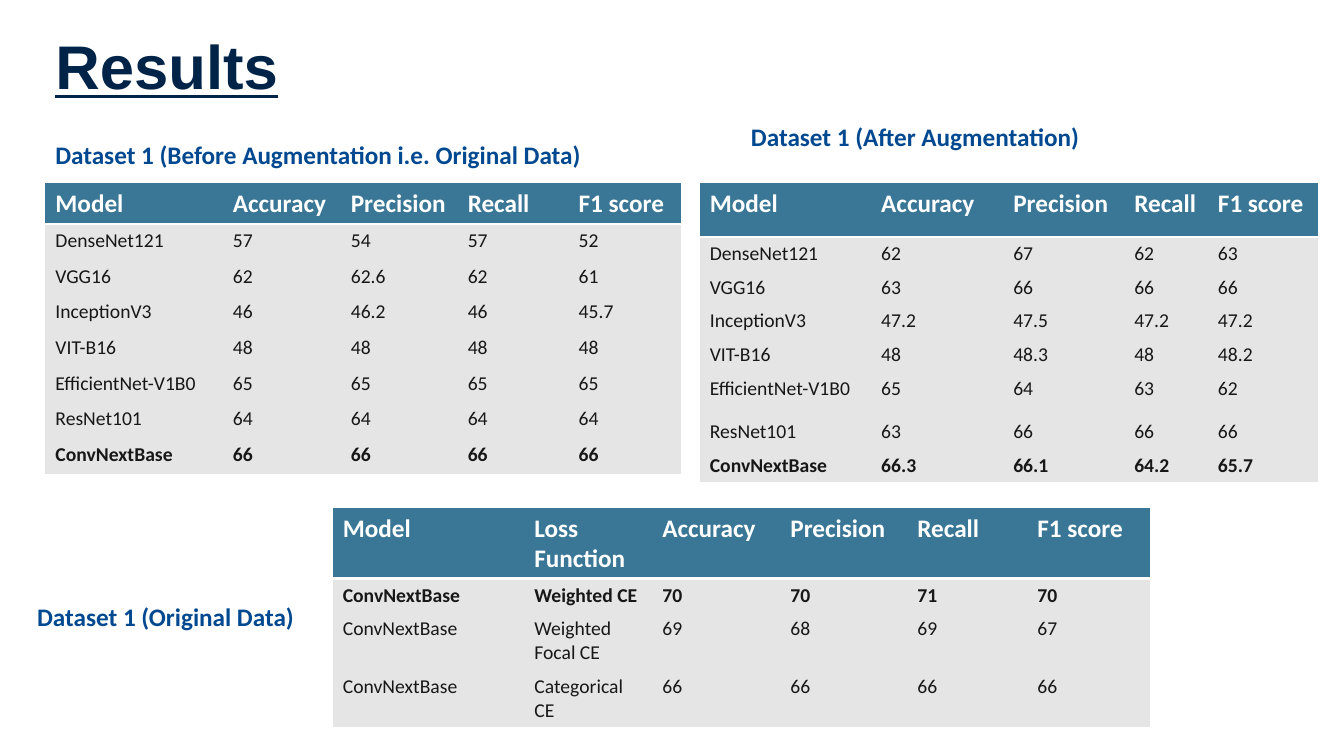
"""Build a results slide with three model comparison tables."""
import lxml.etree
import pptx
import pptx.dml.color
import pptx.enum.text
import pptx.oxml
import pptx.oxml.ns
import pptx.util

Inches = pptx.util.Inches
RGBColor = pptx.dml.color.RGBColor

NAVY = RGBColor(0x00, 0x24, 0x48)
BLUE = RGBColor(0x00, 0x49, 0x90)
TEAL = RGBColor(0x3A, 0x77, 0x96)
GREY = RGBColor(0xE6, 0xE5, 0xE6)
INK = RGBColor(0x18, 0x17, 0x17)
WHITE = RGBColor(0xFF, 0xFF, 0xFF)
NO_GRID_STYLE = "{2D5ABB26-0587-4C30-8999-92F81FD0307C}"

METRICS = ["Accuracy", "Precision", "Recall", "F1 score"]
BEFORE = [
    ["Model", *METRICS],
    ["DenseNet121", "57", "54", "57", "52"],
    ["VGG16", "62", "62.6", "62", "61"],
    ["InceptionV3", "46", "46.2", "46", "45.7"],
    ["VIT-B16", "48", "48", "48", "48"],
    ["EfficientNet-V1B0", "65", "65", "65", "65"],
    ["ResNet101", "64", "64", "64", "64"],
    ["ConvNextBase", "66", "66", "66", "66"],
]
AFTER = [
    ["Model", *METRICS],
    ["DenseNet121", "62", "67", "62", "63"],
    ["VGG16", "63", "66", "66", "66"],
    ["InceptionV3", "47.2", "47.5", "47.2", "47.2"],
    ["VIT-B16", "48", "48.3", "48", "48.2"],
    ["EfficientNet-V1B0", "65", "64", "63", "62"],
    ["ResNet101", "63", "66", "66", "66"],
    ["ConvNextBase", "66.3", "66.1", "64.2", "65.7"],
]
LOSSES = [
    ["Model", "Loss Function", *METRICS],
    ["ConvNextBase", "Weighted CE", "70", "70", "71", "70"],
    ["ConvNextBase", "Weighted Focal CE", "69", "68", "69", "67"],
    ["ConvNextBase", "Categorical CE", "66", "66", "66", "66"],
]


def format_text(tf, size, color, bold=True, font="Calibri"):
    """Format every run of a text frame."""
    for p in tf.paragraphs:
        for r in p.runs:
            r.font.size = pptx.util.Pt(size)
            r.font.name = font
            r.font.bold = bold
            r.font.color.rgb = color


def set_title(s, text):
    """Place and format the title placeholder."""
    sp = s.shapes.title
    sp.left, sp.top = Inches(0.45), Inches(0.23)
    sp.width, sp.height = Inches(6.67), Inches(0.84)
    tf = sp.text_frame
    tf.text = text
    tf.word_wrap = True
    tf.auto_size = pptx.enum.text.MSO_AUTO_SIZE.SHAPE_TO_FIT_TEXT
    tf.vertical_anchor = pptx.enum.text.MSO_ANCHOR.TOP
    p = tf.paragraphs[0]
    p.alignment = pptx.enum.text.PP_ALIGN.LEFT
    format_text(tf, 44, NAVY, font="Arial")
    p.runs[0].font.underline = True


def add_label(s, text, left, top, width, wrap=False):
    """Add the caption of a table."""
    sp = s.shapes.add_textbox(Inches(left), Inches(top), Inches(width), Inches(0.4))
    tf = sp.text_frame
    tf.text = text
    tf.word_wrap = wrap
    tf.auto_size = pptx.enum.text.MSO_AUTO_SIZE.SHAPE_TO_FIT_TEXT
    format_text(tf, 18, BLUE)


def add_bottom_border(cell, color, points):
    """Draw a solid line under a table cell."""
    ns = pptx.oxml.ns.qn
    line = pptx.oxml.parse_xml(
        f'<a:lnB {pptx.oxml.ns.nsdecls("a")} w="{pptx.util.Pt(points)}"/>')
    fill = lxml.etree.SubElement(line, ns("a:solidFill"))
    lxml.etree.SubElement(fill, ns("a:srgbClr")).set("val", str(color))
    cell._tc.get_or_add_tcPr().insert(0, line)


def add_results(s, data, left, top, widths, heights, best):
    """Add a table with a teal header and one bold best row."""
    frame = s.shapes.add_table(len(data), len(widths), Inches(left), Inches(top),
                               Inches(sum(widths)), Inches(sum(heights)))
    table = frame.table
    table.horz_banding = False
    style = table._tbl.tblPr.find(pptx.oxml.ns.qn("a:tableStyleId"))
    style.text = NO_GRID_STYLE
    for column, width in zip(table.columns, widths):
        column.width = Inches(width)
    for i, (row, height) in enumerate(zip(table.rows, heights)):
        row.height = Inches(height)
        header = i == 0
        for cell, text in zip(row.cells, data[i]):
            cell.text_frame.text = text
            cell.fill.solid()
            cell.fill.fore_color.rgb = TEAL if header else GREY
            if header:
                format_text(cell.text_frame, 18, WHITE)
                add_bottom_border(cell, WHITE, 2)
            else:
                format_text(cell.text_frame, 14, INK, bold=i == best)


def main():
    """Build the slide and save it."""
    prs = pptx.Presentation()
    prs.slide_width, prs.slide_height = Inches(13.33), Inches(7.5)
    s = prs.slides.add_slide(prs.slide_layouts[5])
    set_title(s, "Results")
    add_results(s, BEFORE, 0.45, 1.82, [1.76, 1.17, 1.16, 1.1, 1.12],
                [0.4] + [2.48 / 7] * 7, best=7)
    add_label(s, "Dataset 1 (Before Augmentation i.e. Original Data)", 0.45, 1.33, 5.46)
    add_results(s, AFTER, 6.94, 1.82, [1.7, 1.31, 1.2, 0.83, 1.09],
                [0.53] + [0.33] * 4 + [0.43] + [0.33] * 2, best=7)
    add_label(s, "Dataset 1 (After Augmentation)", 7.35, 1.15, 3.5)
    add_results(s, LOSSES, 3.3, 5.04, [1.9, 1.27, 1.27, 1.26, 1.19, 1.22],
                [0.7, 0.33, 0.57, 0.57], best=1)
    add_label(s, "Dataset 1 (Original Data)", 0.27, 5.92, 2.93, wrap=True)
    prs.save("out.pptx")


if __name__ == "__main__":
    main()
